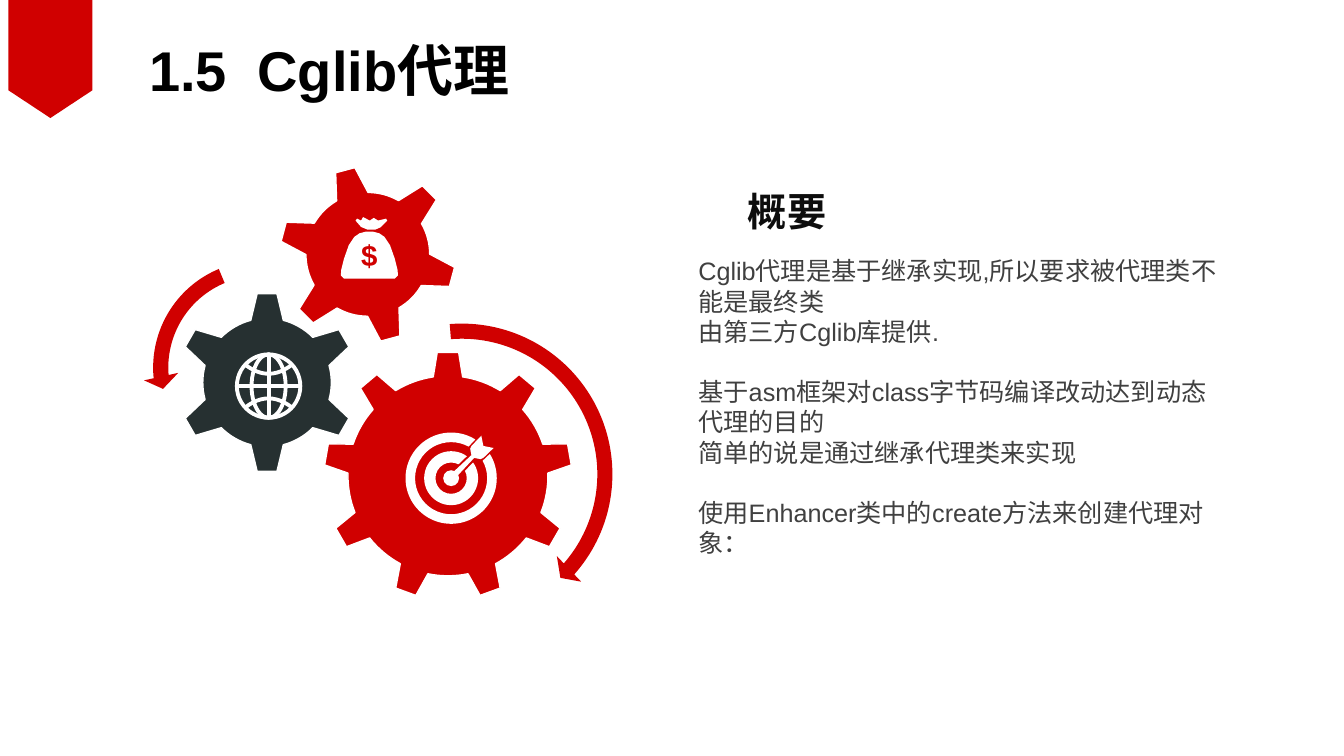
from dataclasses import dataclass
from math import asin, cos, pi, radians, sin

from lxml.etree import SubElement
from pptx import Presentation
from pptx.dml.color import RGBColor
from pptx.enum.shapes import MSO_CONNECTOR, MSO_SHAPE
from pptx.enum.text import MSO_ANCHOR, PP_ALIGN
from pptx.oxml.ns import qn
from pptx.util import Cm, Pt

RED, DARK, WHITE = "D00000", "263031", "FFFFFF"
Point = tuple[float, float]


@dataclass
class Gear:
    x: float
    y: float
    hub: float
    tip: float
    base: float  # half width of a tooth at the hub
    top: float  # half width of a tooth at the tip
    teeth: int
    turn: float
    fill: str


@dataclass
class Arrow:
    kind: MSO_SHAPE
    x: float
    y: float
    size: float
    adj: tuple[float, ...]


@dataclass
class Label:
    lines: list[str]
    box: tuple[float, float, float, float]
    size: int
    color: str
    bold: bool = True
    inset: float = 0.25
    gaps: tuple[int, ...] = ()  # paragraphs that follow a free line


GEARS = [
    Gear(11.29, 11.99, 2.52, 3.12, 0.37, 0.27, 9, 0, RED),
    Gear(6.73, 9.64, 1.62, 2.25, 0.41, 0.25, 6, 0, DARK),
    Gear(9.27, 6.41, 1.56, 2.21, 0.41, 0.25, 6, -15, RED),
]
ARROWS = [
    Arrow(MSO_SHAPE.CIRCULAR_ARROW, 7.59, 7.9, 8.1, (0.047, 2.99, 24.88, 159.23, 0.055)),
    Arrow(MSO_SHAPE.LEFT_CIRCULAR_ARROW, 3.61, 6.32, 5.89, (0.065, 4.3, 104.89, 148.38, 0.075)),
]
LABELS = [
    Label(["1.5\tCglib代理"], (3.51, 0.76, 20.65, 1.96), 40, "000000"),
    Label(["概要"], (17.35, 4.6, 13.64, 1.45), 28, "0D0D0D", inset=1.5),
    Label([
        "Cglib代理是基于继承实现,所以要求被代理类不能是最终类",
        "由第三方Cglib库提供.",
        "基于asm框架对class字节码编译改动达到动态代理的目的",
        "简单的说是通过继承代理类来实现",
        "使用Enhancer类中的create方法来创建代理对象：",
    ], (17.35, 6.32, 13.64, 8.84), 18, "404040", bold=False, gaps=(2, 4)),
]

deck = Presentation()
deck.slide_width, deck.slide_height = Cm(33.87), Cm(19.05)
shapes = deck.slides.add_slide(deck.slide_layouts[6]).shapes


def rgb(color: str) -> RGBColor:
    return RGBColor.from_string(color)


def paint(shape, fill: str = "", line: str = "", width: float = 1):
    shape.shadow.inherit = False
    if fill:
        shape.fill.solid()
        shape.fill.fore_color.rgb = rgb(fill)
    else:
        shape.fill.background()
    if line:
        shape.line.color.rgb = rgb(line)
        shape.line.width = Pt(width)
    else:
        shape.line.fill.background()
    return shape


def outline(points: list[Point], close: bool = True):
    dots = [(Cm(x), Cm(y)) for x, y in points]
    pen = shapes.build_freeform(*dots[0])
    pen.add_line_segments(dots[1:], close=close)
    return pen.convert_to_shape()


def center(kind: MSO_SHAPE, x: float, y: float, wide: float, high: float):
    return shapes.add_shape(kind, Cm(x - wide / 2), Cm(y - high / 2), Cm(wide), Cm(high))


def draw_gear(gear: Gear) -> None:
    step, half = 2 * pi / gear.teeth, asin(gear.base / gear.hub)
    slope = asin(gear.top / gear.tip)
    polar = []
    for i in range(gear.teeth):
        mid = radians(gear.turn) + i * step
        polar += [(gear.tip, mid - slope), (gear.tip, mid + slope)]
        span = step - 2 * half
        polar += [(gear.hub, mid + half + span * k / 8) for k in range(9)]
    points = [(gear.x + r * sin(a), gear.y - r * cos(a)) for r, a in polar]
    paint(outline(points), gear.fill, WHITE)


def draw_arrow(arrow: Arrow) -> None:
    shape = shapes.add_shape(arrow.kind, Cm(arrow.x), Cm(arrow.y), Cm(arrow.size), Cm(arrow.size))
    for i, value in enumerate(arrow.adj):
        shape.adjustments[i] = value
    paint(shape, RED)


def draw_globe(x: float, y: float, r: float) -> None:
    for wide in (r, 0.43):
        paint(center(MSO_SHAPE.OVAL, x, y, 2 * wide, 2 * r), line=WHITE, width=2.75)
    for dx, dy in ((r, 0), (0, r)):
        ends = [Cm(v) for v in (x - dx, y - dy, x + dx, y + dy)]
        line = shapes.add_connector(MSO_CONNECTOR.STRAIGHT, *ends)
        line.line.color.rgb = rgb(WHITE)
        line.line.width = Pt(2.75)
        SubElement(line._element.spPr, qn("a:effectLst"))
    for side in (-1, 1):
        bow = [(x + 0.59 * k / 6, y + side * (0.31 + 0.23 * (k / 6) ** 2)) for k in range(-6, 7)]
        paint(outline(bow, close=False), line=WHITE, width=2.75)


def draw_target(x: float, y: float) -> None:
    for size, ring in ((2.3, 0.105), (1.36, 0.21)):
        donut = center(MSO_SHAPE.DONUT, x, y, size, size)
        donut.adjustments[0] = ring
        paint(donut, WHITE)
    paint(center(MSO_SHAPE.OVAL, x, y, 0.4, 0.4), WHITE)
    # Each half runs along the dart; the other half is its mirror on the diagonal
    slot = [(0.17, -0.33), (0.43, -0.58), (0.43, -0.78), (0.61, -0.97), (0.8, -1.15)]
    dart = [(0.07, -0.17), (0.51, -0.58), (0.48, -0.74), (0.51, -0.81), (0.76, -1.07), (0.81, -0.82)]
    for half, fill in ((slot, RED), (dart, WHITE)):
        whole = half + [(-b, -a) for a, b in reversed(half)]
        paint(outline([(x + a, y + b) for a, b in whole]), fill)


def draw_bag(x: float) -> None:
    knot = [(-0.41, 5.56), (-0.37, 5.51), (-0.27, 5.56), (-0.22, 5.47), (-0.05, 5.56), (0.05, 5.49),
            (0.16, 5.56), (0.36, 5.51), (0.39, 5.56), (0.22, 5.73), (0.08, 5.79), (-0.1, 5.79), (-0.27, 5.72)]
    paint(outline([(x + 0.06 + a, b) for a, b in knot]), WHITE)
    side = [(0.1, 5.84), (0.25, 5.88), (0.38, 5.97), (0.52, 6.18), (0.64, 6.52), (0.71, 6.8), (0.72, 6.94), (0.64, 7.02)]
    sack = paint(outline([(x + a, b) for a, b in side] + [(x - a, b) for a, b in reversed(side)]), WHITE)
    frame = sack.text_frame
    frame.margin_left = frame.margin_right = frame.margin_top = frame.margin_bottom = 0
    frame.vertical_anchor = MSO_ANCHOR.MIDDLE
    frame.text = "$"
    frame.paragraphs[0].alignment = PP_ALIGN.CENTER
    style(frame.paragraphs[0], 21, RED, True)


def style(para, size: int, color: str, bold: bool) -> None:
    for run in para.runs:
        font = run.font
        font.name, font.size, font.bold = "Arial", Pt(size), bold
        font.color.rgb = rgb(color)


def draw_label(label: Label) -> None:
    frame = shapes.add_textbox(*[Cm(v) for v in label.box]).text_frame
    frame.word_wrap = True
    frame.margin_left = Cm(label.inset)
    frame.text = "\n".join(label.lines)
    for i, para in enumerate(frame.paragraphs):
        style(para, label.size, label.color, label.bold)
        if i in label.gaps:
            para.space_before = Pt(21.5)
        if "\t" in label.lines[i]:
            tabs = SubElement(para._p.get_or_add_pPr(), qn("a:tabLst"))
            SubElement(tabs, qn("a:tab"), pos=str(Cm(2.73)), algn="l")


# Corner ribbon
ribbon = center(MSO_SHAPE.PENTAGON, 1.27, 1.49, 2.97, 2.12)
ribbon.rotation = 90
ribbon.adjustments[0] = 0.33
paint(ribbon, RED)

# Gears and turning arrows
for gear in GEARS:
    draw_gear(gear)
for arrow in ARROWS:
    draw_arrow(arrow)

# Icons on the gears
draw_globe(6.77, 9.73, 0.8)
draw_target(11.37, 12.05)
draw_bag(9.31)

# Title, heading and body
for label in LABELS:
    draw_label(label)

deck.save("out.pptx")
